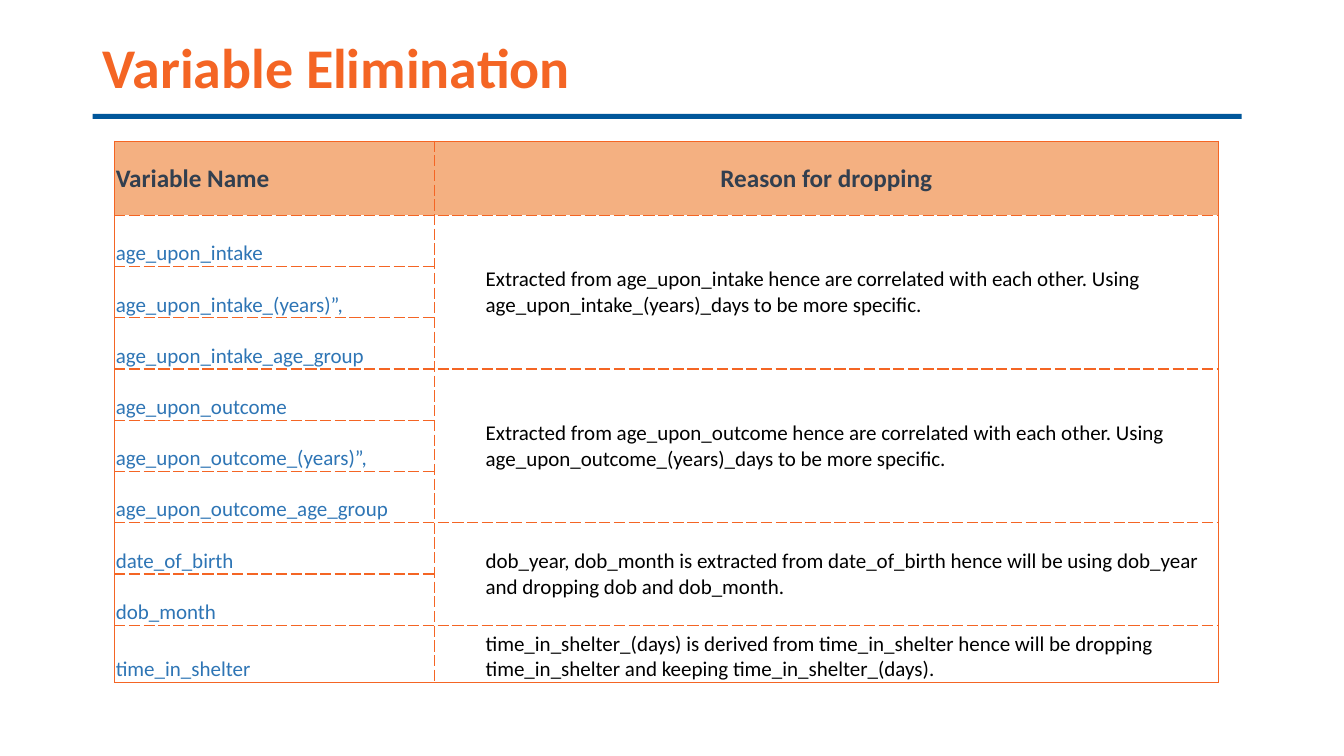
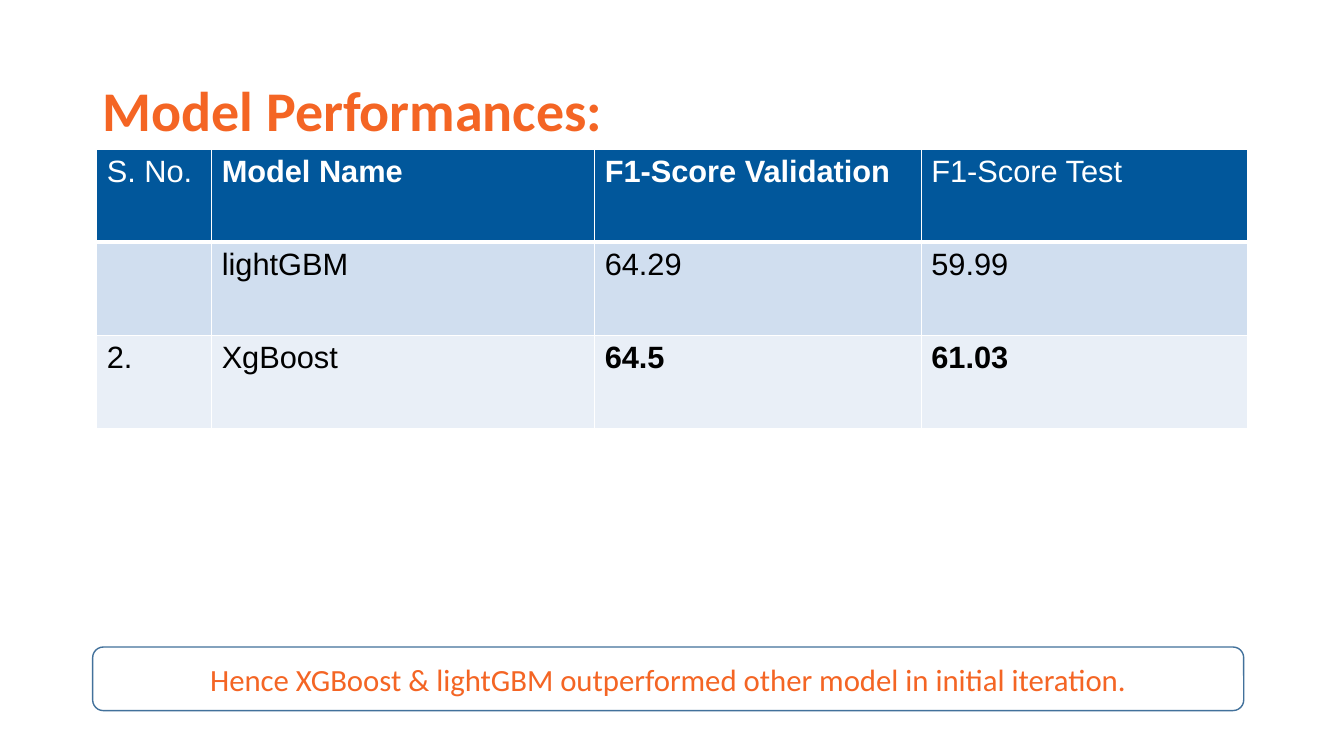
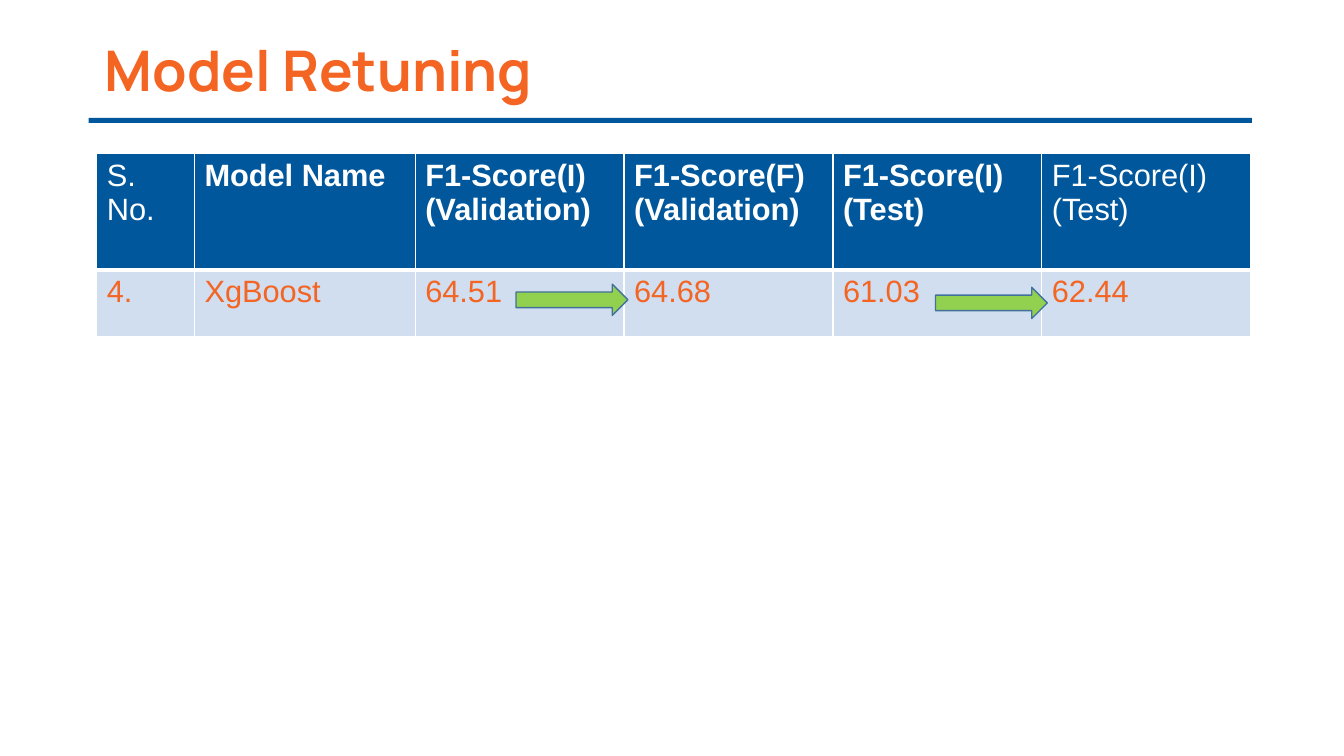
from dataclasses import dataclass

from lxml.etree import SubElement
from pptx import Presentation
from pptx.dml.color import RGBColor
from pptx.enum.shapes import MSO_SHAPE
from pptx.enum.text import MSO_ANCHOR, MSO_AUTO_SIZE, PP_ALIGN
from pptx.oxml.ns import qn
from pptx.util import Pt

NO_STYLE = "{2D5ABB26-0587-4C30-8999-92F81FD0307C}"


@dataclass(frozen=True)
class Theme:
    """Colours, fonts and type sizes of the deck."""
    orange: str = "F46524"
    navy: str = "01579B"
    peach: str = "F4B081"
    slate: str = "323F4F"
    sky: str = "2E75B5"
    outline: str = "42719B"
    green: str = "92D050"
    bands: tuple = ("D0DEEF", "E9EFF7")
    white: str = "FFFFFF"
    black: str = "000000"
    sans: str = "Calibri"
    grid_font: str = "Arial"
    title_font: str = "Manrope"
    title: int = 40
    grid: int = 22
    head: int = 18
    body: int = 15


class Deck:
    """Holds the theme, the presentation and the current slide."""

    def __init__(self, theme):
        """Open an empty widescreen presentation."""
        self.t = theme
        self.prs = Presentation()
        self.prs.slide_width, self.prs.slide_height = Pt(960), Pt(540)
        self.s = None

    def slide(self, title, x, y, w, h, font=None):
        """Start a slide with its title."""
        self.s = self.prs.slides.add_slide(self.prs.slide_layouts[5])
        sp = self.s.shapes.title
        sp.left, sp.top, sp.width, sp.height = Pt(x), Pt(y), Pt(w), Pt(h)
        tf = sp.text_frame
        tf.auto_size = MSO_AUTO_SIZE.NONE
        tf.vertical_anchor = MSO_ANCHOR.MIDDLE
        self.put_text(tf, title, self.t.title, self.t.orange, font or self.t.sans, True)
        tf.paragraphs[0].line_spacing = 0.9

    def put_text(self, tf, text, size, color, font, bold=False, align=PP_ALIGN.LEFT):
        """Fill a text frame, one paragraph per line."""
        tf.text = text
        for p in tf.paragraphs:
            p.alignment = align
            p.font.size, p.font.name, p.font.bold = Pt(size), font, bold
            p.font.color.rgb = RGBColor.from_string(color)

    def shape(self, kind, x, y, w, h, fill=None, line=None):
        """Add a preset shape."""
        sp = self.s.shapes.add_shape(kind, Pt(x), Pt(y), Pt(w), Pt(h))
        sp.shadow.inherit = False
        self.paint(sp.fill, fill)
        if line:
            sp.line.color.rgb = RGBColor.from_string(line)
            sp.line.width = Pt(1)
        else:
            sp.line.fill.background()
        return sp

    def paint(self, fill, color):
        """Set a solid fill, or none."""
        if color:
            fill.solid()
            fill.fore_color.rgb = RGBColor.from_string(color)
        else:
            fill.background()

    def rule(self, x, y, w):
        """Add the bar under a title."""
        self.shape(MSO_SHAPE.RECTANGLE, x, y, w, 3.6, self.t.navy)

    def arrow(self, x, y):
        """Add an arrow between two scores."""
        self.shape(MSO_SHAPE.RIGHT_ARROW, x, y, 79.9, 22.3, self.t.green, self.t.outline)

    def callout(self, text, x, y, w, h):
        """Add a rounded box with a conclusion."""
        sp = self.shape(MSO_SHAPE.ROUNDED_RECTANGLE, x, y, w, h, line=self.t.outline)
        tf = sp.text_frame
        tf.word_wrap = True
        tf.vertical_anchor = MSO_ANCHOR.MIDDLE
        self.put_text(tf, text, self.t.grid, self.t.orange, self.t.sans, align=PP_ALIGN.CENTER)

    def table(self, x, y, cols, rows):
        """Add an unstyled table with the given column widths and row heights."""
        gf = self.s.shapes.add_table(len(rows), len(cols), Pt(x), Pt(y), Pt(sum(cols)), Pt(sum(rows)))
        tbl = gf.table
        tbl._tbl.tblPr.find(qn("a:tableStyleId")).text = NO_STYLE
        for col, w in zip(tbl.columns, cols):
            col.width = Pt(w)
        for row, h in zip(tbl.rows, rows):
            row.height = Pt(h)
        return tbl

    def borders(self, cell, color, **sides):
        """Draw cell sides L, R, T, B given as (width, dash)."""
        tcPr = cell._tc.get_or_add_tcPr()
        for side in "LRTB":
            if side in sides:
                width, dash = sides[side]
                ln = SubElement(tcPr, qn("a:ln" + side), w=str(Pt(width)))
                fill = SubElement(ln, qn("a:solidFill"))
                SubElement(fill, qn("a:srgbClr"), val=color)
                SubElement(ln, qn("a:prstDash"), val=dash)

    def score_table(self, x, y, cols, rows, data, color, bold=()):
        """Add a banded score table whose inner headings are bold."""
        t = self.t
        tbl = self.table(x, y, cols, rows)
        thin, thick = (1, "solid"), (3, "solid")
        for i, line in enumerate(data):
            for j, text in enumerate(line):
                cell = tbl.cell(i, j)
                self.borders(cell, t.white, L=thin, R=thin,
                             T=thick if i == 1 else thin, B=thick if i == 0 else thin)
                self.paint(cell.fill, t.bands[(i - 1) % 2] if i else t.navy)
                strong = 0 < j < len(cols) - 1 if i == 0 else (i, j) in bold
                self.put_text(cell.text_frame, text, t.grid, color if i else t.white, t.grid_font, strong)

    def reason_table(self, x, y, cols, rows, heads, groups):
        """Add a table that gives one reason for each group of names."""
        t = self.t
        tbl = self.table(x, y, cols, rows)
        for j, (head, align) in enumerate(zip(heads, (PP_ALIGN.LEFT, PP_ALIGN.CENTER))):
            self.put_text(tbl.cell(0, j).text_frame, head, t.head, t.slate, t.sans, True, align)
        first = 1
        for names, reason in groups:
            for i, name in enumerate(names, first):
                self.put_text(tbl.cell(i, 0).text_frame, name, t.body, t.sky, t.sans)
            cell = tbl.cell(first, 1)
            if len(names) > 1:
                cell.merge(tbl.cell(first + len(names) - 1, 1))
            self.put_text(cell.text_frame, reason, t.body, t.black, t.sans)
            cell.text_frame.paragraphs[0]._p.get_or_add_pPr().set("marL", str(Pt(36)))
            first += len(names)
        self.frame_reasons(tbl, len(rows) - 1)

    def frame_reasons(self, tbl, last):
        """Give a reason table a solid frame, dashed inner lines and tight margins."""
        solid, dash = (1, "solid"), (1, "dash")
        for i in range(last + 1):
            for j in range(2):
                cell = tbl.cell(i, j)
                sides = {"L": dash if j else solid, "R": solid if j else dash}
                if not cell.is_spanned:
                    sides["T"] = dash if i else solid
                    sides["B"] = solid if i == last else dash
                self.borders(cell, self.t.orange, **sides)
                self.paint(cell.fill, None if i else self.t.peach)
                cell.margin_left = cell.margin_right = cell.margin_top = Pt(0.7)
                cell.margin_bottom = Pt(0)
                middle = i == 0 or (j == 1 and i < last)
                cell.vertical_anchor = MSO_ANCHOR.MIDDLE if middle else MSO_ANCHOR.BOTTOM


def main():
    """Build and save the deck."""
    t = Theme()
    d = Deck(t)

    d.slide("Variable Elimination", 66.2, 33.8, 828, 32.4)
    d.reason_table(82, 100.8, [228.2, 560.2], [53, *[36.6] * 8, 41],
                   ["Variable Name", "Reason for dropping"], [
        (["age_upon_intake", "age_upon_intake_(years)”,", "age_upon_intake_age_group"],
         "Extracted from age_upon_intake hence are correlated with each other. "
         "Using age_upon_intake_(years)_days to be more specific."),
        (["age_upon_outcome", "age_upon_outcome_(years)”,", "age_upon_outcome_age_group"],
         "Extracted from age_upon_outcome hence are correlated with each other. "
         "Using age_upon_outcome_(years)_days to be more specific."),
        (["date_of_birth", "dob_month"],
         "dob_year, dob_month is extracted from date_of_birth hence will be using dob_year "
         "and dropping dob and dob_month."),
        (["time_in_shelter"],
         "time_in_shelter_(days) is derived from time_in_shelter hence will be dropping "
         "time_in_shelter and keeping time_in_shelter_(days)."),
    ])
    d.rule(66.2, 81.4, 820.8)

    d.slide("Model Performances:", 66.2, 28.8, 828, 104.4)
    d.score_table(69.1, 106.6, [82.1, 273.6, 233.3, 233.3], [66.5] * 3, [
        ["S. No.", "Model Name", "F1-Score Validation", "F1-Score Test"],
        ["", "lightGBM", "64.29", "59.99"],
        ["2.", "XgBoost", "64.5", "61.03"],
    ], t.black, bold={(2, 2), (2, 3)})
    d.callout("Hence XGBoost & lightGBM outperformed other model in initial iteration.",
              66.2, 462.2, 822.2, 45.4)

    d.slide("Model Retuning", 67.7, 0, 828, 104.4, t.title_font)
    d.score_table(69.1, 109.4, [69.8, 157.7, *[149.2] * 4], [83.5, 47.5], [
        ["S. No.", "Model Name", "F1-Score(I) (Validation)", "F1-Score(F)\n(Validation)",
         "F1-Score(I)\n(Test)", "F1-Score(I)\n(Test)"],
        ["4.", "XgBoost", "64.51", "64.68", "61.03", "62.44"],
    ], t.orange)
    d.arrow(368.6, 203)
    d.arrow(668.2, 205.2)
    d.rule(63.4, 84.2, 830.9)

    d.prs.save("out.pptx")


if __name__ == "__main__":
    main()
